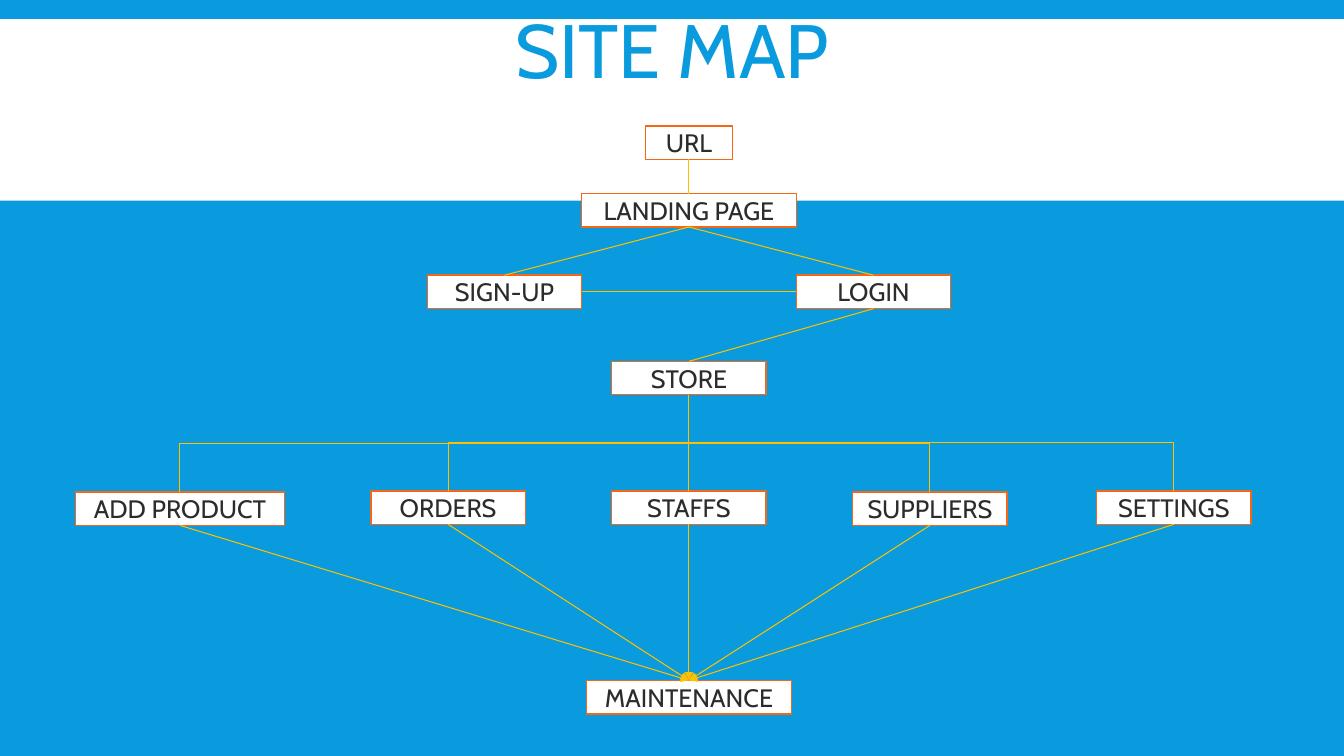
from dataclasses import dataclass
from lxml.etree import SubElement
from pptx import Presentation
from pptx.dml.color import RGBColor
from pptx.enum.shapes import MSO_CONNECTOR, MSO_SHAPE
from pptx.enum.text import MSO_ANCHOR, PP_ALIGN
from pptx.oxml.ns import qn
from pptx.util import Inches, Pt


@dataclass(frozen=True)
class Theme:
    blue: str = "099BDD"
    white: str = "FFFFFF"
    orange: str = "F56617"
    yellow: str = "FFC000"
    ink: str = "2C2C2C"
    font: str = "Cabin"
    title: float = 54
    label: float = 18
    border: float = 1
    link: float = 0.75


T = Theme()
W, H = Inches(13.33), Inches(7.5)

# Site map in percent of its box: name -> (centre x, top, width)
MID, NODE_W, NODE_H = 51.26, 11.48, 4.43
NODES = {
    "URL": (MID, 16.67, 6.45),
    "LANDING PAGE": (MID, 25.6, 15.98),
    "SIGN-UP": (37.54, 36.4, NODE_W),
    "LOGIN": (64.99, 36.4, NODE_W),
    "STORE": (MID, 47.8, NODE_W),
    "ADD PRODUCT": (13.39, 65.07, 15.52),
    "ORDERS": (33.34, 64.93, NODE_W),
    "STAFFS": (MID, 64.93, NODE_W),
    "SUPPLIERS": (69.19, 65.07, NODE_W),
    "SETTINGS": (87.34, 64.93, NODE_W),
    "MAINTENANCE": (MID, 90, 15.23),
}
SECTIONS = ["ADD PRODUCT", "ORDERS", "STAFFS", "SUPPLIERS", "SETTINGS"]
TOP, LEFT, BOTTOM, RIGHT = range(4)  # connection sites of a rectangle


def color(value):
    return RGBColor.from_string(value)


def write(sp, text, size, ink, spacing=None):
    tf = sp.text_frame
    tf.word_wrap = True
    tf.vertical_anchor = MSO_ANCHOR.MIDDLE
    p = tf.paragraphs[0]
    p.alignment = PP_ALIGN.CENTER
    p.line_spacing = spacing
    r = p.add_run()
    r.text = text
    r.font.name, r.font.size = T.font, Pt(size)
    r.font.color.rgb = color(ink)


def add_rect(s, x, y, w, h, line=None):
    sp = s.shapes.add_shape(MSO_SHAPE.RECTANGLE, int(x), int(y), int(w), int(h))
    sp.shadow.inherit = False
    sp.fill.solid()
    sp.fill.fore_color.rgb = color(T.white)
    if line:
        sp.line.color.rgb = color(line)
        sp.line.width = Pt(T.border)
    else:
        sp.line.fill.background()
    return sp


def add_link(s, kind, x1, y1, x2, y2):
    c = s.shapes.add_connector(kind, int(x1), int(y1), int(x2), int(y2))
    c.line.color.rgb = color(T.yellow)
    c.line.width = Pt(T.link)
    SubElement(c._element.spPr, qn("a:effectLst"))
    return c


def join(s, a, b, sites=(BOTTOM, TOP), arrow=False):
    """Straight link glued to two nodes."""
    c = add_link(s, MSO_CONNECTOR.STRAIGHT, 0, 0, 0, 0)
    c.begin_connect(a, sites[0])
    c.end_connect(b, sites[1])
    if arrow:
        SubElement(c.line._get_or_add_ln(), qn("a:tailEnd"), type="triangle")


def branch(s, a, b):
    """Elbow link that leaves a downwards: a quarter-turned connector."""
    x1, y1 = a.left + a.width / 2, a.top + a.height
    x2, y2 = b.left + b.width / 2, b.top
    cx, cy = (x1 + x2) / 2, (y1 + y2) / 2
    dx, dy = abs(x2 - x1) / 2, (y2 - y1) / 2
    side = 1 if x2 < x1 else -1  # a right-hand branch is mirrored
    c = add_link(s, MSO_CONNECTOR.ELBOW, cx - side * dy, cy - dx, cx + side * dy, cy + dx)
    turn = 90 if side > 0 else 270
    c._element.spPr.find(qn("a:xfrm")).set("rot", str(turn * 60000))


def header(s, x, y, w, h):
    # White band with the title at its top
    add_rect(s, x, y, w, h)
    sp = s.shapes.add_textbox(int(x + 0.07 * w), int(y - 0.01 * h), int(0.86 * w), int(0.42 * h))
    write(sp, "SITE MAP", T.title, T.blue, 0.85)


def site_map(s, x, y, w, h):
    # Nodes
    node = {}
    for name, (cx, top, width) in NODES.items():
        node[name] = add_rect(s, x + (cx - width / 2) * w / 100, y + top * h / 100,
                              width * w / 100, NODE_H * h / 100, T.orange)
        write(node[name], name, T.label, T.ink)

    # Way in
    for a, b in [("URL", "LANDING PAGE"), ("LANDING PAGE", "SIGN-UP"),
                 ("LANDING PAGE", "LOGIN"), ("LOGIN", "STORE")]:
        join(s, node[a], node[b])
    join(s, node["SIGN-UP"], node["LOGIN"], (RIGHT, LEFT))

    # Store sections, all leading to maintenance
    for name in SECTIONS:
        link = join if NODES[name][0] == MID else branch
        link(s, node["STORE"], node[name])
    for name in SECTIONS:
        join(s, node[name], node["MAINTENANCE"], arrow=True)


def main():
    prs = Presentation()
    prs.slide_width, prs.slide_height = W, H
    s = prs.slides.add_slide(prs.slide_layouts[6])
    s.background.fill.solid()
    s.background.fill.fore_color.rgb = color(T.blue)
    header(s, 0, Inches(0.19), W, Inches(1.8))
    site_map(s, 0, 0, W, H)
    prs.save("out.pptx")


if __name__ == "__main__":
    main()
